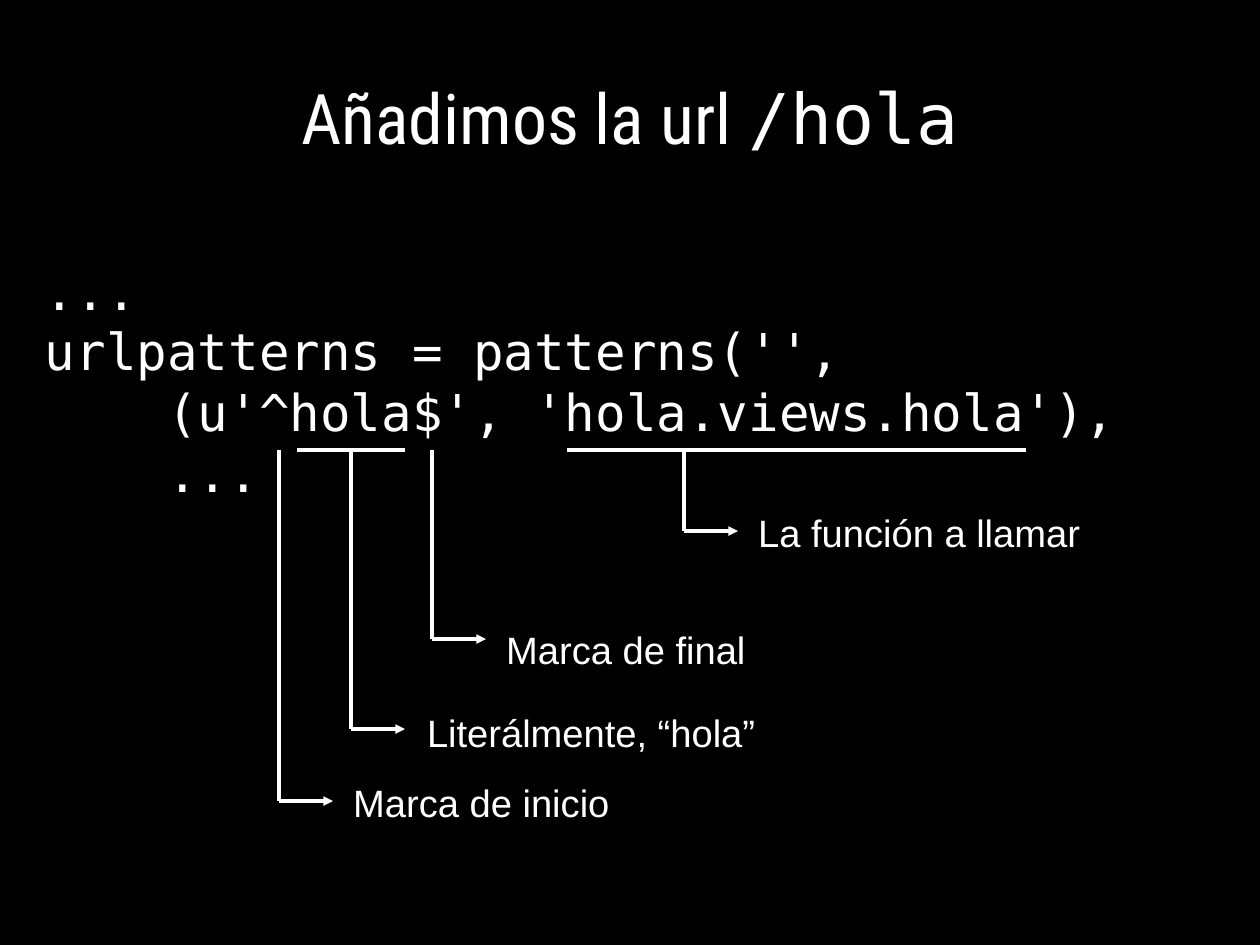
from dataclasses import dataclass

from lxml.etree import SubElement
from pptx import Presentation
from pptx.dml.color import RGBColor
from pptx.enum.shapes import MSO_CONNECTOR as Connector
from pptx.enum.text import MSO_ANCHOR as Anchor, MSO_AUTO_SIZE as AutoSize, PP_ALIGN as Align
from pptx.oxml.ns import qn
from pptx.shapes.autoshape import Shape
from pptx.slide import Slide
from pptx.text.text import Font
from pptx.util import Cm, Pt

BLACK = RGBColor(0x00, 0x00, 0x00)
WHITE = RGBColor(0xFF, 0xFF, 0xFF)
TITLE_FONT = "Roboto Condensed"
CODE_FONT = "DejaVu Sans Mono"
LABEL_FONT = "Arial"

WIDTH, HEIGHT = Cm(28), Cm(21)
COLUMNS, ROWS = 140, 105
UNDERLINE_ROW = 50
ARROW_COLUMNS = 6
LABEL_ROWS = 6.5

CODE = """...
urlpatterns = patterns('',
    (u'^hola$', 'hola.views.hola'),
    ..."""


@dataclass(frozen=True)
class Callout:
    label: str
    column: float
    arrow_row: float
    label_column: float
    label_row: float
    label_columns: float


@dataclass(frozen=True)
class Underline:
    first_column: float
    last_column: float


CALLOUTS = [
    Callout("Marca de inicio", 31, 89, 38, 86, 66),
    Callout("Literálmente, “hola”", 39, 81, 46.2, 78.2, 84.8),
    Callout("Marca de final", 48, 71, 55, 69, 63),
    Callout("La función a llamar", 76, 59, 83, 56, 44),
]
UNDERLINES = [Underline(33, 45), Underline(63, 114)]


def across(columns: float) -> int:
    return round(WIDTH * columns / COLUMNS)


def down(rows: float) -> int:
    return round(HEIGHT * rows / ROWS)


def style(font: Font, name: str, size: int) -> None:
    font.name = name
    font.size = Pt(size)
    font.color.rgb = WHITE


def place(holder: Shape, column: float, row: float, columns: float, rows: float) -> None:
    holder.left, holder.top = across(column), down(row)
    holder.width, holder.height = across(columns), down(rows)
    frame = holder.text_frame
    frame.margin_left = frame.margin_right = frame.margin_top = frame.margin_bottom = 0
    frame.vertical_anchor = Anchor.MIDDLE
    frame.word_wrap = True
    frame.auto_size = AutoSize.NONE


def add_title(slide: Slide) -> None:
    title = slide.shapes.title
    place(title, 7, 4.2, 126, 17.5)
    heading = title.text_frame.paragraphs[0]
    heading.alignment = Align.CENTER
    for words, font_name in (("Añadimos la url ", TITLE_FONT), ("/hola", CODE_FONT)):
        run = heading.add_run()
        run.text = words
        style(run.font, font_name, 44)


def add_code(slide: Slide) -> None:
    code = slide.placeholders[1]
    place(code, 5, 21.7, 126, 41.3)
    code.text_frame.text = CODE
    for code_line in code.text_frame.paragraphs:
        code_line.alignment = Align.LEFT
        code_line.space_before = Pt(0)
        for run in code_line.runs:
            style(run.font, CODE_FONT, 32)


def add_line(slide: Slide, start: tuple[float, float], end: tuple[float, float],
             arrow: bool = False) -> None:
    line = slide.shapes.add_connector(
        Connector.STRAIGHT, across(start[0]), down(start[1]), across(end[0]), down(end[1]))
    line.line.color.rgb = WHITE
    line.line.width = Pt(0)
    properties = line._element.spPr
    if arrow:
        SubElement(properties.find(qn("a:ln")), qn("a:tailEnd"), type="triangle")
    SubElement(properties, qn("a:effectLst"))


def add_callout(slide: Slide, callout: Callout) -> None:
    corner = (callout.column, callout.arrow_row)
    add_line(slide, (callout.column, UNDERLINE_ROW), corner)
    add_line(slide, corner, (callout.column + ARROW_COLUMNS, callout.arrow_row), arrow=True)
    label = slide.shapes.add_textbox(
        across(callout.label_column), down(callout.label_row),
        across(callout.label_columns), down(LABEL_ROWS))
    label.text_frame.word_wrap = True
    label.text_frame.text = callout.label
    style(label.text_frame.paragraphs[0].runs[0].font, LABEL_FONT, 24)


def main() -> None:
    deck = Presentation()
    deck.slide_width, deck.slide_height = WIDTH, HEIGHT
    slide = deck.slides.add_slide(deck.slide_layouts[0])
    slide.background.fill.solid()
    slide.background.fill.fore_color.rgb = BLACK
    add_title(slide)
    add_code(slide)
    for underline in UNDERLINES:
        add_line(slide, (underline.first_column, UNDERLINE_ROW),
                 (underline.last_column, UNDERLINE_ROW))
    for callout in CALLOUTS:
        add_callout(slide, callout)
    deck.save("out.pptx")


if __name__ == "__main__":
    main()
